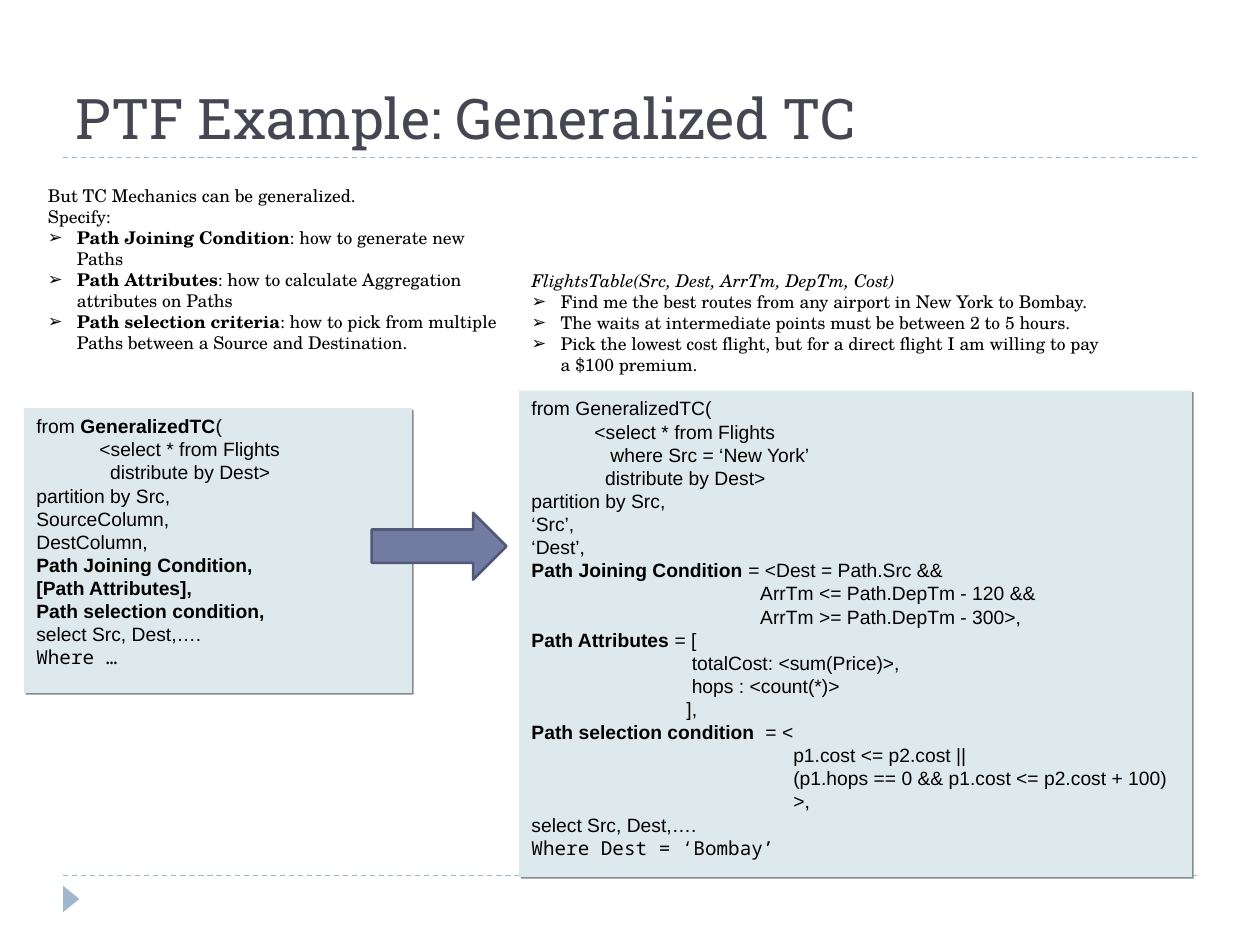
from dataclasses import dataclass

from lxml import etree
from pptx import Presentation
from pptx import util as u
from pptx.dml.color import RGBColor
from pptx.enum import dml, shapes, text
from pptx.oxml.ns import qn


@dataclass
class Theme:
    ink: str = "000000"
    heading: str = "464653"
    rule: str = "9FB8CD"
    panel: str = "DDE9EC"
    shade: str = "858C8E"
    arrow: str = "727CA3"
    arrow_edge: str = "525977"
    title_font: str = "Roboto Slab"
    prose_font: str = "TeX Gyre Schola"
    code_font: str = "Arial"
    mono_font: str = "Noto Sans Mono"
    title_size: int = 32
    prose_size: int = 10
    code_size: int = 11
    code_leading: float = 13.2


theme = Theme()


def write(frame, line, font, size, color=theme.ink, bullet=False, italic=False, leading=None):
    para = frame.add_paragraph() if frame.text else frame.paragraphs[0]
    props = para._p.get_or_add_pPr()
    hang = u.Inches(0.23) if bullet else 0
    props.set("marL", str(hang))
    props.set("indent", str(-hang))
    if bullet:
        bullet_color = etree.SubElement(props, qn("a:buClr"))
        etree.SubElement(bullet_color, qn("a:srgbClr"), val=color)
        etree.SubElement(props, qn("a:buChar"), char="➢")
    else:
        etree.SubElement(props, qn("a:buNone"))
    para.alignment = text.PP_ALIGN.LEFT
    para.space_before = u.Pt(0)
    if leading:
        para.line_spacing = u.Pt(leading)
    for position, part in enumerate(line.split("**")):
        if part:
            run = para.add_run()
            run.text = part
            run.font.name = font
            run.font.size = u.Pt(size)
            run.font.bold = position % 2 == 1
            run.font.italic = italic
            run.font.color.rgb = RGBColor.from_string(color)


def place(item, left, top, width, height):
    item.left, item.top = u.Inches(left), u.Inches(top)
    item.width, item.height = u.Inches(width), u.Inches(height)


deck = Presentation()
deck.slide_width, deck.slide_height = u.Inches(10), u.Inches(7.5)
slide = deck.slides.add_slide(deck.slide_layouts.get_by_name("Two Content"))
title, generalization, flights = slide.placeholders

place(title, 0.5, 0.25, 9, 1)
title.text_frame.vertical_anchor = text.MSO_ANCHOR.BOTTOM
title.text_frame.auto_size = text.MSO_AUTO_SIZE.NONE
write(title.text_frame, "PTF Example: Generalized TC", theme.title_font, theme.title_size,
      color=theme.heading)

for rule_y in (6.95, 1.25):
    rule = slide.shapes.add_connector(
        shapes.MSO_CONNECTOR.STRAIGHT,
        u.Inches(0.5), u.Inches(rule_y), u.Inches(9.5), u.Inches(rule_y))
    rule.line.color.rgb = RGBColor.from_string(theme.rule)
    rule.line.width = u.Pt(0.75)
    rule.line.dash_style = dml.MSO_LINE.DASH
    etree.SubElement(rule._element.spPr, qn("a:effectLst"))

corner = slide.shapes.add_shape(
    shapes.MSO_SHAPE.ISOSCELES_TRIANGLE,
    u.Inches(0.46), u.Inches(7.07), u.Inches(0.21), u.Inches(0.13))
corner.rotation = 90
corner.shadow.inherit = False
corner.fill.solid()
corner.fill.fore_color.rgb = RGBColor.from_string(theme.rule)
corner.line.fill.background()

notes = [
    (generalization, (0.28, 1.37, 3.84, 1.54), False,
     ["But TC Mechanics can be generalized.", "Specify:"],
     ["**Path Joining Condition**: how to generate new Paths",
      "**Path Attributes**: how to calculate Aggregation attributes on Paths",
      "**Path selection criteria**: how to pick from multiple Paths between a Source and Destination."]),
    (flights, (4.12, 2.04, 4.8, 1.04), True,
     ["FlightsTable(Src, Dest, ArrTm, DepTm, Cost)"],
     ["Find me the best routes from any airport in New York to Bombay.",
      "The waits at intermediate points must be between 2 to 5 hours.",
      "Pick the lowest cost flight, but for a direct flight I am willing to pay a $100 premium."]),
]
for body, bounds, italic_intro, intro, points in notes:
    place(body, *bounds)
    frame = body.text_frame
    frame.margin_left = frame.margin_right = u.Inches(0.1)
    frame.margin_top = frame.margin_bottom = u.Inches(0.1)
    frame.vertical_anchor = text.MSO_ANCHOR.TOP
    frame.word_wrap = True
    frame.auto_size = text.MSO_AUTO_SIZE.SHAPE_TO_FIT_TEXT
    for line in intro:
        write(frame, line, theme.prose_font, theme.prose_size, italic=italic_intro)
    for line in points:
        write(frame, line, theme.prose_font, theme.prose_size, bullet=True)

template_query = """from **GeneralizedTC**(
\t<select * from Flights
\t  distribute by Dest>
partition by Src,
SourceColumn,
DestColumn,
**Path Joining Condition,**
**[Path Attributes],**
**Path selection condition,**
select Src, Dest,….
Where …"""

flight_query = """from GeneralizedTC(
\t<select * from Flights
\t   where Src = ‘New York’
\t  distribute by Dest>
partition by Src,
‘Src’,
‘Dest’,
**Path Joining Condition **= <Dest = Path.Src &&
                                           ArrTm <= Path.DepTm - 120 &&
                                           ArrTm >= Path.DepTm - 300>,
**Path Attributes **= [
                              totalCost: <sum(Price)>,
                              hops : <count(*)>
                             ],
**Path selection condition  **= <
                                                 p1.cost <= p2.cost ||
                                                 (p1.hops == 0 && p1.cost <= p2.cost + 100)
                                                 >,
select Src, Dest,….
Where Dest = ‘Bombay’"""

for query, bounds in ((template_query, (0.19, 3.24, 3.08, 2.26)),
                      (flight_query, (4.12, 3.1, 5.34, 3.86))):
    panel = slide.shapes.add_shape(shapes.MSO_SHAPE.RECTANGLE, *map(u.Inches, bounds))
    panel.fill.solid()
    panel.fill.fore_color.rgb = RGBColor.from_string(theme.panel)
    panel.line.fill.background()
    panel.shadow.inherit = False
    shadow = etree.SubElement(
        panel._element.spPr.find(qn("a:effectLst")), qn("a:outerShdw"),
        dist=str(u.Pt(1.4)), dir=str(45 * 60000), algn="ctr", rotWithShape="0")
    etree.SubElement(shadow, qn("a:srgbClr"), val=theme.shade)
    panel.text_frame.vertical_anchor = text.MSO_ANCHOR.TOP
    panel.text_frame.word_wrap = True
    for line in query.split("\n"):
        font = theme.mono_font if line.startswith("Where") else theme.code_font
        write(panel.text_frame, line, font, theme.code_size, leading=theme.code_leading)

arrow = slide.shapes.add_shape(
    shapes.MSO_SHAPE.RIGHT_ARROW,
    u.Inches(2.95), u.Inches(4.07), u.Inches(1.07), u.Inches(0.53))
arrow.shadow.inherit = False
arrow.fill.solid()
arrow.fill.fore_color.rgb = RGBColor.from_string(theme.arrow)
arrow.line.color.rgb = RGBColor.from_string(theme.arrow_edge)
arrow.line.width = u.Pt(1.5)

deck.save("out.pptx")
